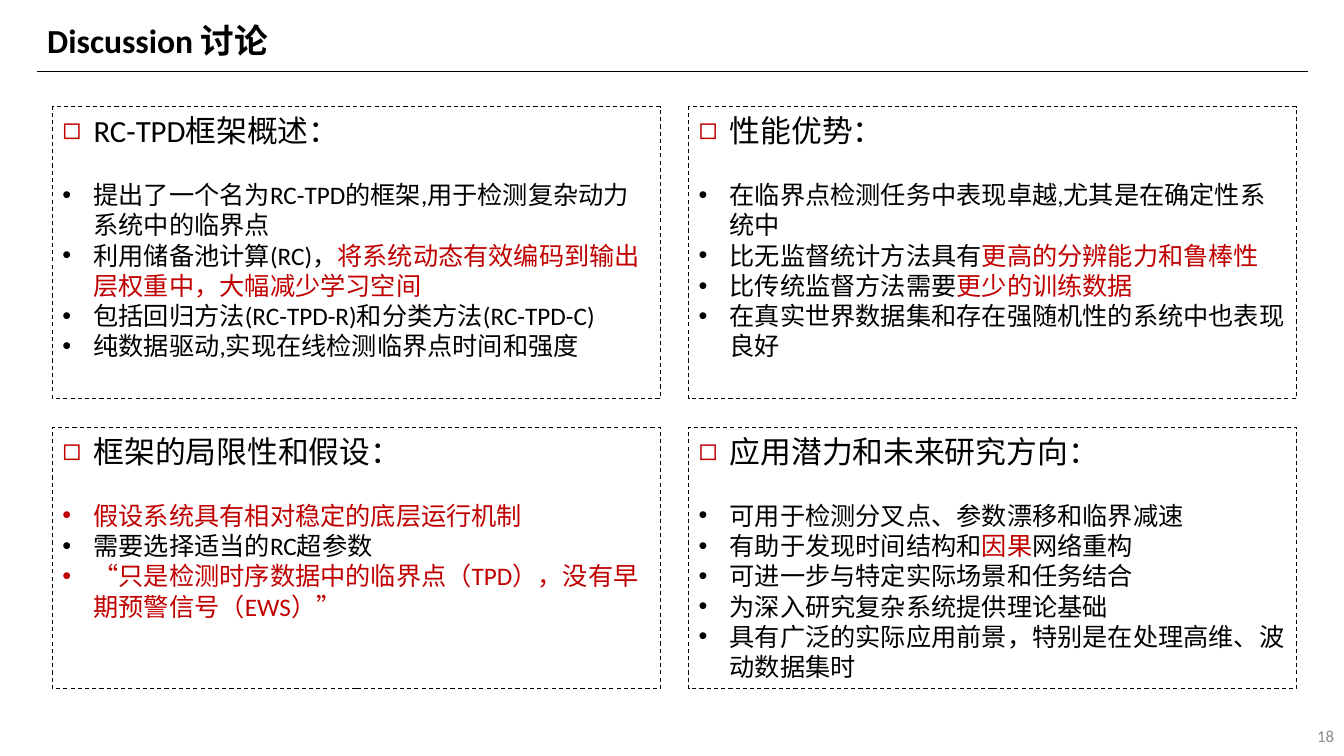
from dataclasses import dataclass

from lxml import etree
from pptx import Presentation
from pptx import util as u
from pptx.dml.color import RGBColor
from pptx.enum import dml, shapes, text
from pptx.oxml.ns import qn

TITLE = "Discussion 讨论"
PAGE = "18"

# Text between asterisks is emphasised.
PANELS = [
    ("RC-TPD框架概述：", [
        "提出了一个名为RC-TPD的框架,用于检测复杂动力系统中的临界点",
        "利用储备池计算(RC)，*将系统动态有效编码到输出层权重中，大幅减少学习空间*",
        "包括回归方法(RC-TPD-R)和分类方法(RC-TPD-C)",
        "纯数据驱动,实现在线检测临界点时间和强度",
    ]),
    ("性能优势：", [
        "在临界点检测任务中表现卓越,尤其是在确定性系统中",
        "比无监督统计方法具有*更高的分辨能力和鲁棒性*",
        "比传统监督方法需要*更少的训练数据*",
        "在真实世界数据集和存在强随机性的系统中也表现良好",
    ]),
    ("框架的局限性和假设：", [
        "*假设系统具有相对稳定的底层运行机制*",
        "需要选择适当的RC超参数",
        "*“只是检测时序数据中的临界点（TPD），没有早期预警信号（EWS）”*",
    ]),
    ("应用潜力和未来研究方向：", [
        "可用于检测分叉点、参数漂移和临界减速",
        "有助于发现时间结构和*因果*网络重构",
        "可进一步与特定实际场景和任务结合",
        "为深入研究复杂系统提供理论基础",
        "具有广泛的实际应用前景，特别是在处理高维、波动数据集时",
    ]),
]


@dataclass(frozen=True)
class Theme:
    font: str = "Calibri"
    ink: str = "000000"
    accent: str = "C00000"
    muted: str = "8C8C8C"
    title: int = 24
    heading: int = 22
    body: int = 18
    page: int = 12


THEME = Theme()
WIDTH, HEIGHT = 13.33, 7.5
LEFT, TOP = 0.52, 1.06
PANEL_WIDTH, ROW_HEIGHTS = 6.03, (2.89, 2.59)
COLUMN_GAP, ROW_GAP = 0.28, 0.29
RULE_LEFT, RULE_RIGHT, RULE_Y = 0.37, 12.97, 0.71
INDENT = 0.31


def style(font, size, color, bold=False):
    font.name, font.size, font.bold = THEME.font, u.Pt(size), bold
    font.color.rgb = RGBColor.from_string(color)


def set_bullet(paragraph, char, color=None):
    props = paragraph._p.get_or_add_pPr()
    props.set("marL", str(u.Inches(INDENT)))
    props.set("indent", str(-u.Inches(INDENT)))
    if color:
        holder = etree.SubElement(props, qn("a:buClr"))
        etree.SubElement(holder, qn("a:srgbClr"), val=color)
    etree.SubElement(props, qn("a:buFont"), typeface="Arial")
    etree.SubElement(props, qn("a:buChar"), char=char)


def add_label(slide, words, box, size, color, bold=False):
    label = slide.shapes.add_textbox(*map(u.Inches, box))
    label.text_frame.word_wrap = True
    line = label.text_frame.paragraphs[0]
    line.text = words
    style(line.font, size, color, bold)
    return label.text_frame


def add_panel(slide, box, heading, points):
    panel = slide.shapes.add_shape(shapes.MSO_SHAPE.RECTANGLE, *map(u.Inches, box))
    panel.shadow.inherit = False
    panel.fill.background()
    panel.line.color.rgb = RGBColor.from_string(THEME.ink)
    panel.line.width = u.Pt(0.75)
    panel.line.dash_style = dml.MSO_LINE.DASH
    frame = panel.text_frame
    frame.word_wrap = True
    frame.vertical_anchor = text.MSO_ANCHOR.TOP

    head = frame.paragraphs[0]
    head.text = heading
    head.alignment = text.PP_ALIGN.LEFT
    head.space_after = u.Pt(22)
    style(head.font, THEME.heading, THEME.ink)
    set_bullet(head, "◻", THEME.accent)
    for point in points:
        item = frame.add_paragraph()
        item.alignment = text.PP_ALIGN.LEFT
        set_bullet(item, "•")
        for i, words in enumerate(point.split("*")):
            if words:
                run = item.add_run()
                run.text = words
                style(run.font, THEME.body, THEME.accent if i % 2 else THEME.ink)


def main():
    deck = Presentation()
    deck.slide_width, deck.slide_height = u.Inches(WIDTH), u.Inches(HEIGHT)
    slide = deck.slides.add_slide(deck.slide_layouts[6])

    rule = slide.shapes.add_connector(
        shapes.MSO_CONNECTOR.STRAIGHT,
        *map(u.Inches, (RULE_LEFT, RULE_Y, RULE_RIGHT, RULE_Y)))
    rule.line.color.rgb = RGBColor.from_string(THEME.ink)
    rule.line.width = u.Pt(1)
    etree.SubElement(rule._element.spPr, qn("a:effectLst"))

    title = add_label(slide, TITLE, (RULE_LEFT, 0.15, 2.69, 0.5),
                      THEME.title, THEME.ink, bold=True)
    title.auto_size = text.MSO_AUTO_SIZE.SHAPE_TO_FIT_TEXT

    for i, (heading, points) in enumerate(PANELS):
        row, column = divmod(i, 2)
        x = LEFT + column * (PANEL_WIDTH + COLUMN_GAP)
        y = TOP + sum(ROW_HEIGHTS[:row]) + row * ROW_GAP
        add_panel(slide, (x, y, PANEL_WIDTH, ROW_HEIGHTS[row]), heading, points)

    page = add_label(slide, PAGE, (WIDTH - 3, HEIGHT - 0.4, 3, 0.4),
                     THEME.page, THEME.muted)
    page.vertical_anchor = text.MSO_ANCHOR.MIDDLE
    page.paragraphs[0].alignment = text.PP_ALIGN.RIGHT

    deck.save("out.pptx")


if __name__ == "__main__":
    main()
